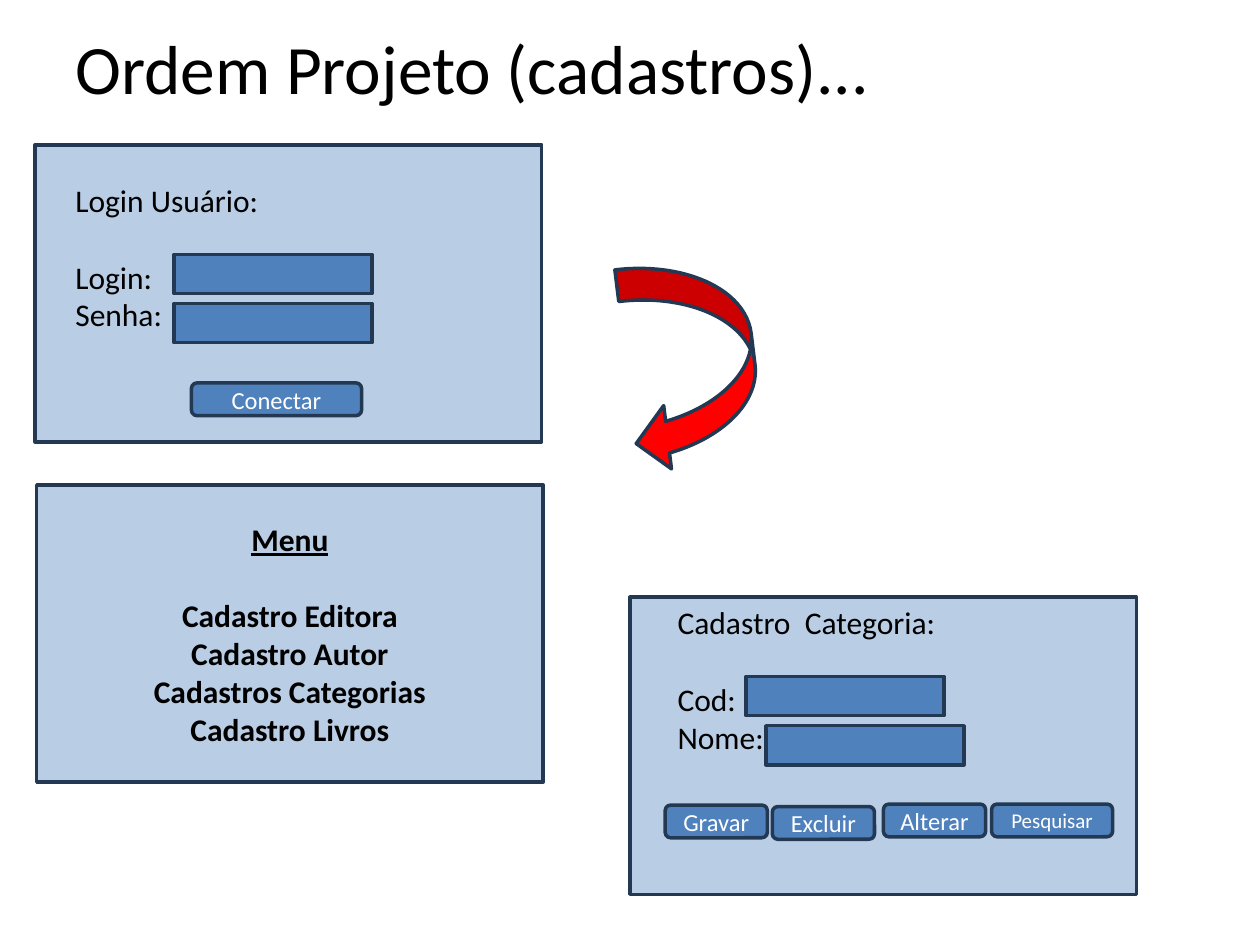
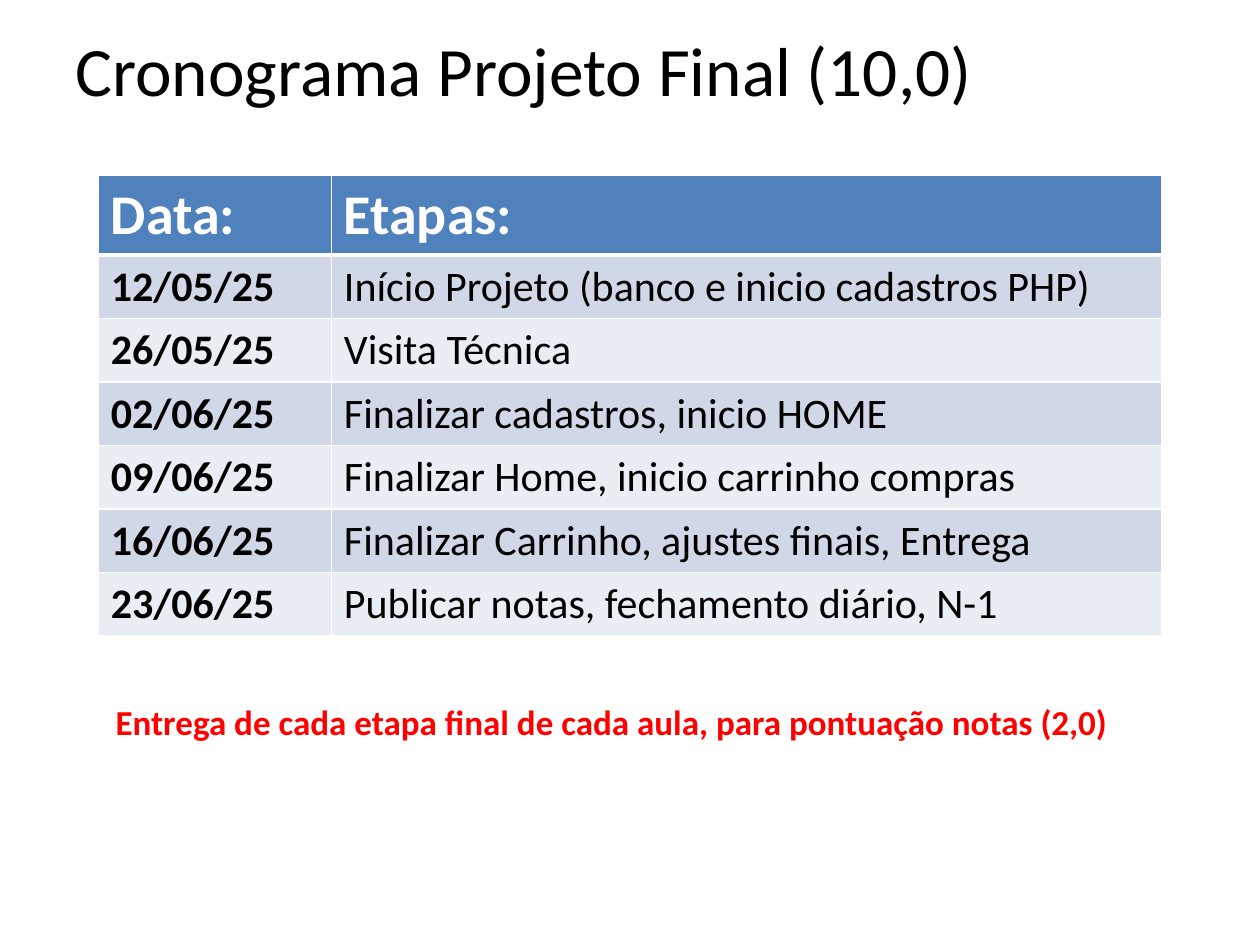
from dataclasses import dataclass

import pptx
import pptx.dml.color
import pptx.enum.shapes
import pptx.enum.text
import pptx.oxml.ns
import pptx.util
from lxml import etree

Cm = pptx.util.Cm
Pt = pptx.util.Pt
SHAPE = pptx.enum.shapes.MSO_SHAPE
ALIGN = pptx.enum.text.PP_ALIGN
ANCHOR = pptx.enum.text.MSO_ANCHOR

# Shared style
FONT = "Calibri"
BLACK, WHITE, RED = "000000", "FFFFFF", "FF0000"
BLUE, PANEL, OUTLINE = "4F81BD", "B9CDE5", "233953"
BANDS = ("D0D8E8", "E9EDF4")
PANEL_W, PANEL_H = 10.21, 5.99
FIELD_W, FIELD_H = 3.99, 0.79
BUTTON_H = 0.66
HEADING_GAP = 22  # points between a heading and the lines under it


@dataclass
class Box:
    left: float
    top: float
    width: float
    height: float

    def lengths(self) -> tuple:
        return Cm(self.left), Cm(self.top), Cm(self.width), Cm(self.height)


@dataclass
class Button:
    label: str
    left: float
    top: float
    width: float = 2.06
    size: float = 14


@dataclass
class Form:
    left: float
    top: float
    labels_at: tuple[float, float]
    lines: list[str]
    fields: list[tuple[float, float]]
    buttons: list[Button]


LOGIN = Form(
    0.71, 2.92, (1.27, 3.53), ["Login Usuário:", "Login:", "Senha:"],
    [(3.51, 5.13), (3.51, 6.12)],
    [Button("Conectar", 3.86, 7.72, 3.43)],
)
CATEGORY = Form(
    12.7, 12.04, (13.41, 12.04), ["Cadastro  Categoria:", "Cod:", "Nome:"],
    [(15.04, 13.64), (15.44, 14.63)],
    [
        Button("Gravar", 13.41, 16.23),
        Button("Excluir", 15.57, 16.26),
        Button("Alterar", 17.81, 16.21),
        Button("Pesquisar", 19.99, 16.21, 2.44, 12),
    ],
)
MENU = ["Menu", "Cadastro Editora", "Cadastro Autor", "Cadastros Categorias", "Cadastro Livros"]
SCHEDULE = [
    ("Data:", "Etapas:"),
    ("12/05/25", "Início Projeto (banco e inicio cadastros PHP)"),
    ("26/05/25", "Visita Técnica"),
    ("02/06/25", "Finalizar cadastros, inicio HOME"),
    ("09/06/25", "Finalizar Home, inicio carrinho compras"),
    ("16/06/25", "Finalizar Carrinho, ajustes finais, Entrega"),
    ("23/06/25", "Publicar notas, fechamento diário, N-1"),
]


def rgb(value: str) -> pptx.dml.color.RGBColor:
    return pptx.dml.color.RGBColor.from_string(value)


def write(tf, lines: list[str], size: float, color: str = BLACK,
          bold: bool = False, align=ALIGN.LEFT) -> None:
    """Write one paragraph per line and format its runs."""
    tf.text = "\n".join(lines)
    for p in tf.paragraphs:
        p.alignment = align
        for r in p.runs:
            r.font.name = FONT
            r.font.size = Pt(size)
            r.font.bold = bold
            r.font.color.rgb = rgb(color)


def add_text(s, box: Box, lines: list[str], size: float, color: str = BLACK,
             bold: bool = False, anchor=ANCHOR.TOP):
    tf = s.shapes.add_textbox(*box.lengths()).text_frame
    tf.word_wrap = True
    tf.vertical_anchor = anchor
    write(tf, lines, size, color, bold)
    return tf


def add_block(s, kind, box: Box, fill: str):
    sp = s.shapes.add_shape(kind, *box.lengths())
    sp.shadow.inherit = False
    sp.fill.solid()
    sp.fill.fore_color.rgb = rgb(fill)
    sp.line.color.rgb = rgb(OUTLINE)
    sp.line.width = Pt(2)
    return sp


def add_panel(s, left: float, top: float):
    return add_block(s, SHAPE.RECTANGLE, Box(left, top, PANEL_W, PANEL_H), PANEL)


def add_form(s, form: Form) -> None:
    add_panel(s, form.left, form.top)
    tf = add_text(s, Box(*form.labels_at, 6.83, 4.88), form.lines, 18)
    tf.paragraphs[0].space_after = Pt(HEADING_GAP)
    for left, top in form.fields:
        add_block(s, SHAPE.RECTANGLE, Box(left, top, FIELD_W, FIELD_H), BLUE)
    for b in form.buttons:
        sp = add_block(s, SHAPE.ROUNDED_RECTANGLE, Box(b.left, b.top, b.width, BUTTON_H), BLUE)
        write(sp.text_frame, [b.label], b.size, WHITE, align=ALIGN.CENTER)


def add_menu(s, left: float, top: float) -> None:
    tf = add_panel(s, left, top).text_frame
    write(tf, MENU, 18, bold=True, align=ALIGN.CENTER)
    heading = tf.paragraphs[0]
    heading.space_after = Pt(HEADING_GAP)
    heading.runs[0].font.underline = True


def set_borders(cell, bottom: float) -> None:
    tc_pr = cell._tc.get_or_add_tcPr()
    qn = pptx.oxml.ns.qn
    for side, width in (("L", 1), ("R", 1), ("T", 1), ("B", bottom)):
        ln = etree.SubElement(tc_pr, qn(f"a:ln{side}"), w=str(Pt(width)))
        fill = etree.SubElement(ln, qn("a:solidFill"))
        etree.SubElement(fill, qn("a:srgbClr"), val=WHITE)


def add_schedule(s, box: Box) -> None:
    table = s.shapes.add_table(len(SCHEDULE), 2, *box.lengths()).table
    for column, width in zip(table.columns, (4.7, 16.74)):
        column.width = Cm(width)
    for i, entry in enumerate(SCHEDULE):
        header = i == 0
        table.rows[i].height = Cm(1.6 if header else 1.28)
        for j, text in enumerate(entry):
            cell = table.cell(i, j)
            set_borders(cell, 3 if header else 1)
            cell.fill.solid()
            cell.fill.fore_color.rgb = rgb(BLUE if header else BANDS[(i - 1) % 2])
            write(cell.text_frame, [text], 32 if header else 24,
                  WHITE if header else BLACK, bold=header or j == 0)


def add_slide(prs, title: str, title_height: float):
    s = prs.slides.add_slide(prs.slide_layouts[6])
    add_text(s, Box(1.27, 0.76, 22.86, title_height), [title], 39.6, anchor=ANCHOR.MIDDLE)
    return s


def main() -> None:
    prs = pptx.Presentation()
    prs.slide_width, prs.slide_height = Cm(25.4), Cm(19.05)

    # Screen order
    s = add_slide(prs, "Ordem Projeto (cadastros)...", 1.17)
    add_form(s, CATEGORY)
    add_menu(s, 0.74, 9.78)
    arrow = add_block(s, SHAPE.CURVED_DOWN_ARROW, Box(11.84, 6.07, 4.17, 2.57), RED)
    arrow.rotation = 83
    add_form(s, LOGIN)

    # Schedule
    s = add_slide(prs, "Cronograma Projeto Final (10,0)", 1.27)
    add_schedule(s, Box(1.98, 3.53, 21.44, 9.28))
    add_text(s, Box(2.08, 14, 20.83, 1.12),
             ["Entrega de cada etapa final de cada aula, para pontuação notas (2,0)"],
             20, RED, bold=True)

    prs.save("out.pptx")


if __name__ == "__main__":
    main()
